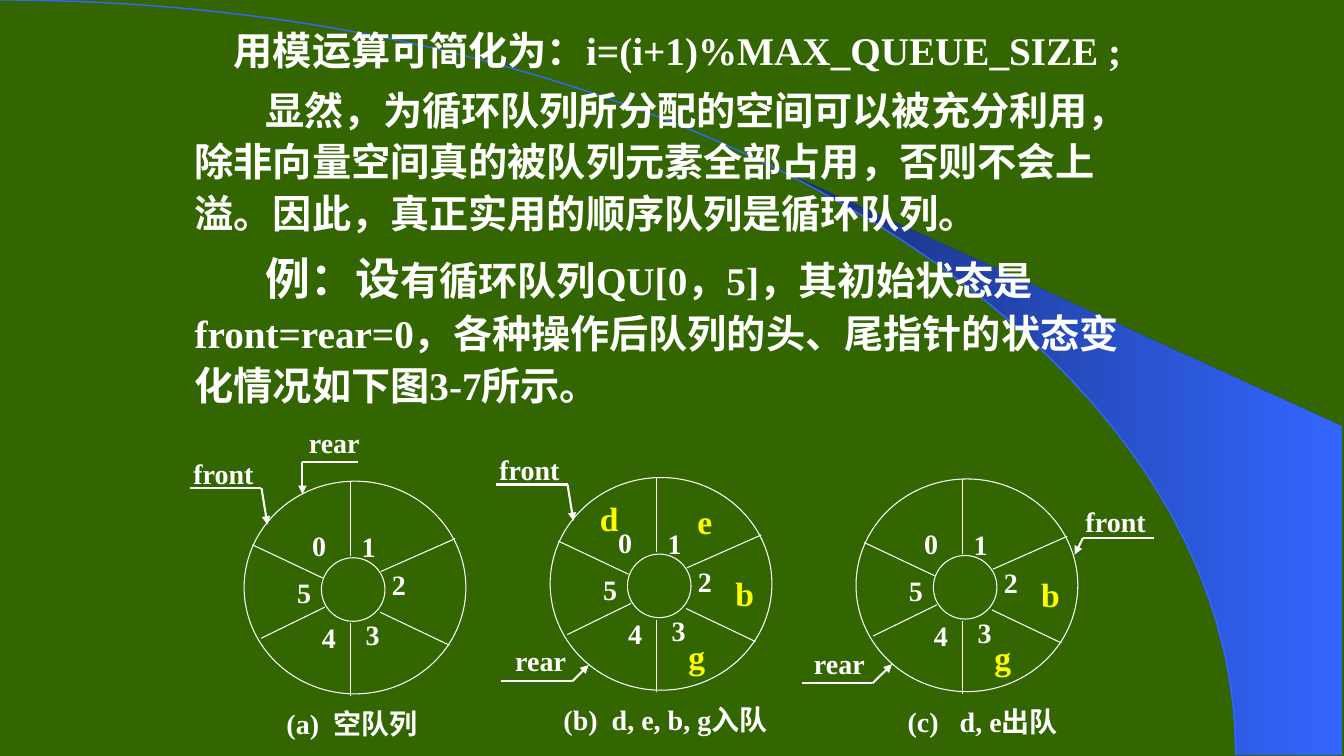
import math
from lxml import etree
from pptx import Presentation
from pptx import util as u
from pptx.dml import color
from pptx.enum import shapes, text
from pptx.oxml import ns

Pt = u.Pt
GREEN = color.RGBColor(0x33, 0x66, 0x00)
BLUE = color.RGBColor(0x33, 0x66, 0xFF)
NAVY = color.RGBColor(0x18, 0x2F, 0x76)
WHITE = color.RGBColor(0xFF, 0xFF, 0xFF)
YELLOW = color.RGBColor(0xFF, 0xFF, 0x00)
LATIN = "Times New Roman"
HAN = "Noto Sans CJK SC"

HUB = (55.2, 54.7, 45.4, 45.4)
DISC = (0, 0, 158.4, 151.9)
SPOKES = [
    ((76.3, 0), (76.3, 53.3)),
    ((76.3, 101.5), (76.3, 153.4)),
    ((97.7, 64.5), (150.8, 41)),
    ((12.2, 112.2), (57.6, 90)),
    ((97.1, 93.6), (146.7, 117.2)),
    ((5.8, 45.4), (56, 69.1)),
]
DIGITS = [(53.6, 46.1), (88.9, 46.8), (110.5, 74),
          (91.8, 109.4), (60.6, 111.6), (42.8, 79.7)]
ITEMS = {"d": (42.1, 28.8), "e": (110.5, 31.3),
         "b": (138.9, 82.2), "g": (104.8, 127.5)}

FRONT = ("front", (-14.8, -5.7), (-38.5, 5), (12.4, 5), (16.6, 31))
RINGS = [
    ((174.4, 343.7), "(a)\u2002空队列", 77, "", [
        FRONT,
        ("rear", (64.4, -27.7), (81.4, -13.9), (41.6, -13.9), (41.6, 9.2))]),
    ((393, 341.1), "(b)\u2002d, e, b, g入队", 82.4, "debg", [
        FRONT,
        ("rear", (-6.8, 130.9), (-35.1, 145.5), (15.8, 145.5), (27.5, 133.9))]),
    ((611.5, 342.1), "(c)\u2002 d, e出队", 90.5, "bg", [
        ("front", (185.4, 30.6), (213.1, 42.3), (162, 42.3), (156.2, 54)),
        ("rear", (-11.9, 131.4), (-38.9, 146), (11.7, 146), (25.7, 132.3))]),
]

BODY = [
    (28, 0, 0, [("用模运算可简化为：i=(i+1)%MAX_QUEUE_SIZE ;", 28)]),
    (0, 50.8, 5.6, [("显然，为循环队列所分配的空间可以被充分利用，除非向量空间真的被"
                     "队列元素全部占用，否则不会上溢。因此，真正实用的顺序队列是循环队列。", 28)]),
    (0, 50.8, 11, [("例：设", 32),
                   ("有循环队列QU[0，5]，其初始状态是front=rear=0，各种操作后队列的"
                    "头、尾指针的状态变化情况如下图3-7所示。", 28)]),
]


def style(para, size, tint):
    font = para.font
    font.size, font.bold, font.name = Pt(size), True, LATIN
    font.color.rgb = tint
    props = para._p.get_or_add_pPr().find(ns.qn("a:defRPr"))
    etree.SubElement(props, ns.qn("a:ea"), typeface=HAN)


def label(slide, words, x, y, size=20, tint=WHITE, wide=50):
    high = 28
    box = slide.shapes.add_textbox(Pt(x - wide / 2), Pt(y - high / 2), Pt(wide), Pt(high))
    frame = box.text_frame
    frame.word_wrap = False
    frame.vertical_anchor = text.MSO_ANCHOR.MIDDLE
    frame.margin_left = frame.margin_right = frame.margin_top = frame.margin_bottom = 0
    para = frame.paragraphs[0]
    para.text = words
    para.alignment = text.PP_ALIGN.CENTER
    style(para, size, tint)


def line(slide, start, end, width, arrow=False):
    link = slide.shapes.add_connector(
        shapes.MSO_CONNECTOR.STRAIGHT, *[Pt(n) for n in (*start, *end)])
    link.line.color.rgb = WHITE
    link.line.width = Pt(width)
    if arrow:
        etree.SubElement(link.line._get_or_add_ln(), ns.qn("a:tailEnd"), type="triangle")
    etree.SubElement(link._element.spPr, ns.qn("a:effectLst"))


def outline(slide, points, close):
    pen = slide.shapes.build_freeform(*[Pt(n) for n in points[0]])
    pen.add_line_segments([(Pt(x), Pt(y)) for x, y in points[1:]], close=close)
    shape = pen.convert_to_shape()
    shape.shadow.inherit = False
    return shape


def bend_line(shape):
    legs = list(shape.element.iter(ns.qn("a:lnTo")))
    bow = etree.SubElement(legs[0].getparent(), ns.qn("a:cubicBezTo"))
    for leg in legs:
        bow.append(leg[0])
        leg.getparent().remove(leg)


def backdrop(slide, wide, high):
    slide.background.fill.solid()
    slide.background.fill.fore_color.rgb = GREEN
    edge, first, steps = 958.3, 0.69, 14
    turns = [first + (math.pi / 2 - first) * n / steps for n in range(steps + 1)]
    rim = [(wide * math.sin(t), high * (1 - math.cos(t))) for t in turns]
    swoosh = outline(slide, rim + [(edge, high), (edge, 304.6)], True)
    swoosh.line.fill.background()
    swoosh.fill.gradient()
    swoosh.fill.gradient_angle = 0
    for stop, tint in zip(swoosh.fill.gradient_stops, (NAVY, BLUE)):
        stop.color.rgb = tint
    pull = 0.55
    arc = outline(slide, [(0, 0), (wide * pull, 0), (wide, high * (1 - pull)),
                          (wide, high)], False)
    bend_line(arc)
    arc.fill.background()
    arc.line.color.rgb = BLUE
    arc.line.width = Pt(1)


def body(slide, left, top, wide, high):
    slide.shapes.title.element.getparent().remove(slide.shapes.title.element)
    hold = slide.placeholders[1]
    hold.left, hold.top, hold.width, hold.height = Pt(left), Pt(top), Pt(wide), Pt(high)
    tree = hold.element.getparent()
    tree.remove(hold.element)
    tree.append(hold.element)
    frame = hold.text_frame
    frame.auto_size = text.MSO_AUTO_SIZE.NONE
    frame.vertical_anchor = text.MSO_ANCHOR.TOP
    for n, (margin, indent, gap, runs) in enumerate(BODY):
        para = frame.add_paragraph() if n else frame.paragraphs[0]
        para.line_spacing = Pt(37.1)
        para.space_before = Pt(gap)
        props = para._p.get_or_add_pPr()
        props.set("marL", str(Pt(margin)))
        props.set("indent", str(Pt(indent)))
        props.set("hangingPunct", "0")
        etree.SubElement(props, ns.qn("a:buNone"))
        style(para, 28, WHITE)
        for words, size in runs:
            run = para.add_run()
            run.text = words
            if size != 28:
                run.font.size = Pt(size)


def ring(slide, left, top, title, mid, items, marks):
    def at(spot):
        return left + spot[0], top + spot[1]

    for x, y, wide, high in (HUB, DISC):
        oval = slide.shapes.add_shape(
            shapes.MSO_SHAPE.OVAL, Pt(left + x), Pt(top + y), Pt(wide), Pt(high))
        oval.shadow.inherit = False
        oval.fill.background()
        oval.line.color.rgb = WHITE
        oval.line.width = Pt(0.75)
    for start, end in SPOKES:
        line(slide, at(start), at(end), 0.75)
    for n, spot in enumerate(DIGITS):
        label(slide, str(n), *at(spot))
    for item in items:
        label(slide, item, *at(ITEMS[item]), 24, YELLOW)
    for name, spot, start, bend, tip in marks:
        label(slide, name, *at(spot))
        line(slide, at(start), at(bend), 1.5)
        line(slide, at(bend), at(tip), 1.5, True)
    label(slide, title, *at((mid, 173)), wide=170)


deck = Presentation()
deck.slide_width, deck.slide_height = Pt(960), Pt(540)
page = deck.slides.add_slide(deck.slide_layouts[1])
backdrop(page, 882.7, 539.3)
body(page, 131.8, 11.5, 689.8, 280)
for (left, top), *parts in RINGS:
    ring(page, left, top, *parts)
deck.save("out.pptx")
